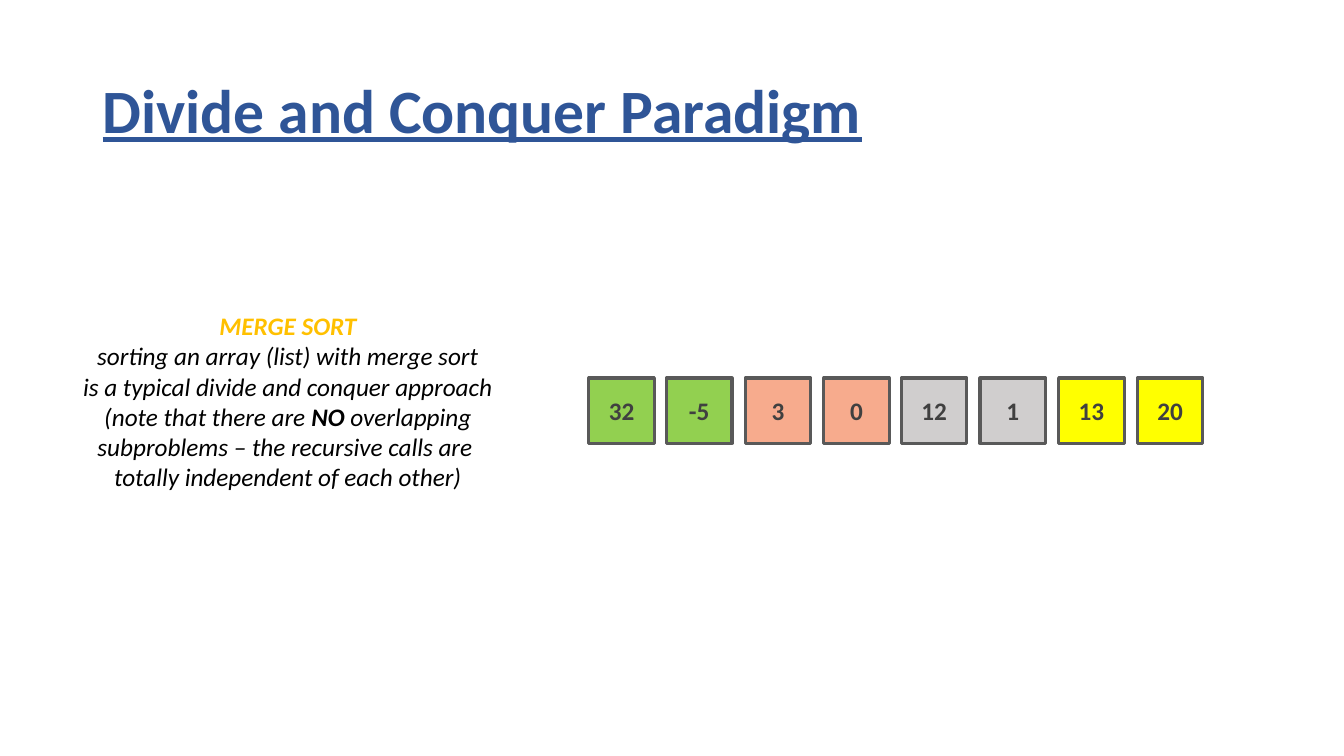
from pptx import Presentation
from pptx.dml.color import RGBColor
from pptx.enum.shapes import MSO_SHAPE
from pptx.enum.text import MSO_ANCHOR, MSO_AUTO_SIZE, PP_ALIGN
from pptx.util import Pt

PX = 9144  # EMU per px, 100 px to the inch
BLUE = RGBColor(0x2F, 0x55, 0x97)
GOLD = RGBColor(0xFF, 0xC0, 0x00)
BLACK = RGBColor(0x00, 0x00, 0x00)
DARK = RGBColor(0x40, 0x40, 0x40)
EDGE = RGBColor(0x59, 0x59, 0x59)
GREEN = RGBColor(0x92, 0xD0, 0x50)
PEACH = RGBColor(0xF7, 0xAB, 0x8D)
GRAY = RGBColor(0xD0, 0xCE, 0xCE)
YELLOW = RGBColor(0xFF, 0xFF, 0x00)


class Board:
    face = "Calibri"

    def __init__(self, slide):
        self.slide = slide

    def label(self, para, text, color, size=18, **style):
        run = para.add_run()
        run.text = text
        run.font.color.rgb = color
        for name, value in {"name": self.face, "size": Pt(size), **style}.items():
            setattr(run.font, name, value)

    def text(self, left, top, width, height, **frame):
        box = self.slide.shapes.add_textbox(
            left * PX, top * PX, width * PX, height * PX)
        for name, value in frame.items():
            setattr(box.text_frame, name, value)
        return box.text_frame

    def title(self, text, *area):
        frame = self.text(*area, word_wrap=True, vertical_anchor=MSO_ANCHOR.MIDDLE)
        para = frame.paragraphs[0]
        para.line_spacing = 0.9
        self.label(para, text, BLUE, 44, bold=True, underline=True)

    def note(self, lines, *area):
        frame = self.text(*area, word_wrap=False,
                          auto_size=MSO_AUTO_SIZE.SHAPE_TO_FIT_TEXT)
        for i, line in enumerate(lines):
            para = frame.add_paragraph() if i else frame.paragraphs[0]
            para.alignment = PP_ALIGN.CENTER
            for text, color, bold in line:
                self.label(para, text, color, bold=bold, italic=True)

    def cell(self, text, fill, left, top, side):
        box = self.slide.shapes.add_shape(
            MSO_SHAPE.RECTANGLE, left * PX, top * PX, side * PX, side * PX)
        box.shadow.inherit = False
        box.fill.solid()
        box.fill.fore_color.rgb = fill
        box.line.color.rgb = EDGE
        box.line.width = Pt(2.25)
        box.text_frame.vertical_anchor = MSO_ANCHOR.MIDDLE
        para = box.text_frame.paragraphs[0]
        para.alignment = PP_ALIGN.CENTER
        self.label(para, text, DARK, bold=True)


def main():
    deck = Presentation()
    deck.slide_width, deck.slide_height = 1333 * PX, 750 * PX
    board = Board(deck.slides.add_slide(deck.slide_layouts[6]))

    # Title
    board.title("Divide and Conquer Paradigm", 92, 40, 1150, 145)

    # Array, coloured in pairs and spread evenly between the end cells
    values = [32, -5, 3, 0, 12, 1, 13, 20]
    fills = [GREEN, PEACH, GRAY, YELLOW]
    first, last = 584, 1128
    for i, value in enumerate(values):
        left = first + i * (last - first) // (len(values) - 1)
        board.cell(str(value), fills[i // 2], left, 375, 65)

    # Explanation
    board.note([
        [("MERGE SORT", GOLD, True)],
        [("sorting an array (list) with merge sort", BLACK, False)],
        [("is a typical divide and conquer approach", BLACK, False)],
        [("(note that there are ", BLACK, False), ("NO ", BLACK, True),
         ("overlapping", BLACK, False)],
        [("subproblems – the recursive calls are ", BLACK, False)],
        [("totally independent of each other)", BLACK, False)],
    ], 70, 303, 431, 192)

    deck.save("out.pptx")


if __name__ == "__main__":
    main()
